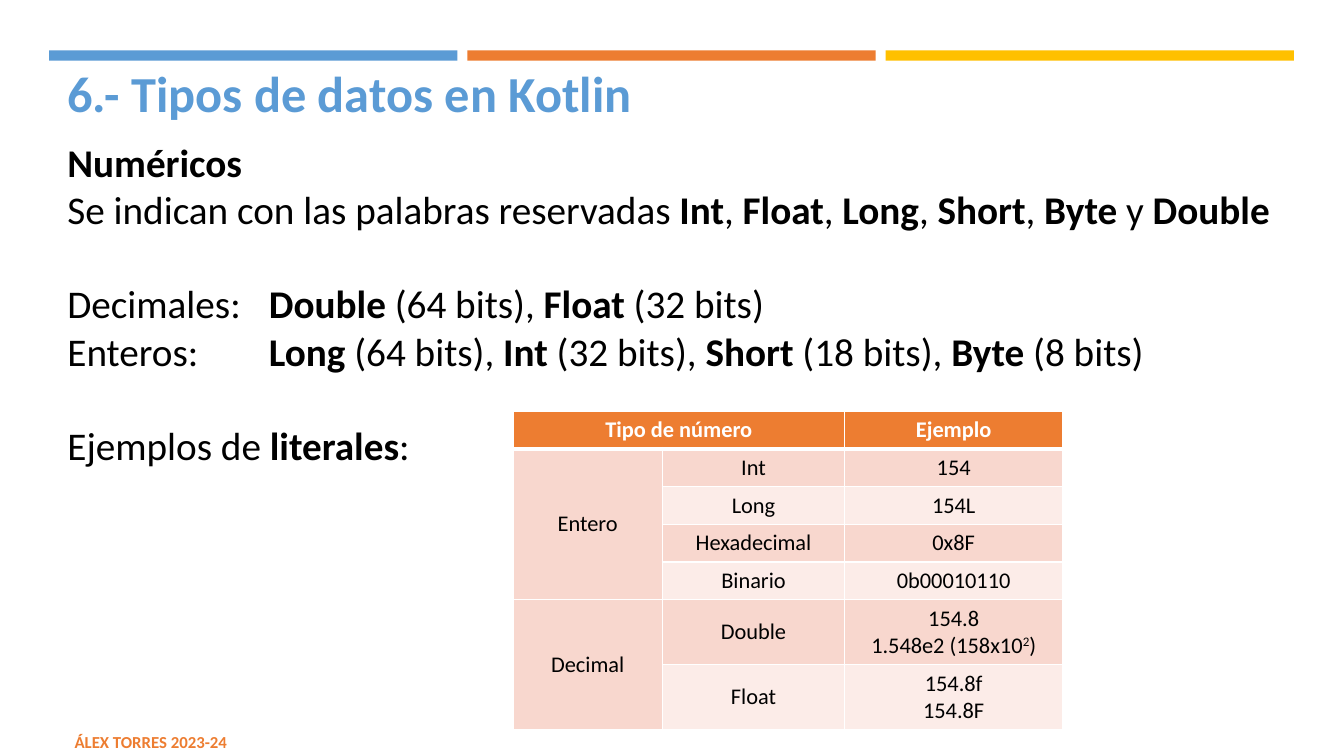
from lxml.etree import SubElement
from pptx import Presentation
from pptx.dml.color import RGBColor
from pptx.enum.shapes import MSO_SHAPE
from pptx.enum.text import MSO_ANCHOR, MSO_AUTO_SIZE, PP_ALIGN
from pptx.oxml import parse_xml
from pptx.oxml.ns import nsdecls, qn
from pptx.util import Cm, Pt

HUES = {"blue": "5B9BD5", "orange": "ED7D31", "gold": "FFC000", "black": "000000",
        "white": "FFFFFF", "rose": "F8D7CE", "pale": "FCECE8"}
FONT = "Calibri"

LINES = [
    ("*Numéricos*", 0),
    ("Se indican con las palabras reservadas *Int*, *Float*, *Long*, *Short*, *Byte* y *Double*", 0),
    ("Decimales:\t*Double* (64 bits), *Float* (32 bits)", 34),
    ("Enteros:\t*Long* (64 bits), *Int* (32 bits), *Short* (18 bits), *Byte* (8 bits)", 0),
    ("Ejemplos de *literales*:", 34),
]
ROWS = [
    ("Tipo de número", "", "Ejemplo"),
    ("Entero", "Int", "154"),
    ("", "Long", "154L"),
    ("", "Hexadecimal", "0x8F"),
    ("", "Binario", "0b00010110"),
    ("Decimal", "Double", "154.8\n1.548e2 (158x10^2^)"),
    ("", "Float", "154.8f\n154.8F"),
]
SPANS = [(0, 0, 0, 1), (1, 0, 4, 0), (5, 0, 6, 0)]


class Page:
    def __init__(self, deck):
        self.slide = deck.slides.add_slide(deck.slide_layouts[5])
        self.shapes = self.slide.shapes

    def hue(self, name):
        return RGBColor.from_string(HUES[name])

    def style(self, par, size, hue, bold=None):
        font = par.font
        font.name, font.size, font.bold = FONT, Pt(size), bold
        font.color.rgb = self.hue(hue)

    def frame(self, shape, anchor):
        frame = shape.text_frame
        frame.word_wrap = True
        frame.auto_size = MSO_AUTO_SIZE.NONE
        frame.vertical_anchor = anchor
        frame.margin_left = frame.margin_right = Cm(0.25)
        frame.margin_top = frame.margin_bottom = Cm(0.25)
        return frame

    def bar(self, x, y, w, h, hue):
        bar = self.shapes.add_shape(MSO_SHAPE.RECTANGLE, Cm(x), Cm(y), Cm(w), Cm(h))
        bar.shadow.inherit = False
        bar.fill.solid()
        bar.fill.fore_color.rgb = self.hue(hue)
        bar.line.fill.background()

    def title(self, text, x, y, w, h):
        title = self.shapes.title
        title.left, title.top, title.width, title.height = Cm(x), Cm(y), Cm(w), Cm(h)
        par = self.frame(title, MSO_ANCHOR.TOP).paragraphs[0]
        par.text = text
        par.alignment = PP_ALIGN.LEFT
        self.style(par, 36, "blue", True)

    def box(self, x, y, w, h, anchor):
        return self.frame(self.shapes.add_textbox(Cm(x), Cm(y), Cm(w), Cm(h)), anchor)

    def note(self, text, x, y, w, h):
        par = self.box(x, y, w, h, MSO_ANCHOR.MIDDLE).paragraphs[0]
        par.text = text
        self.style(par, 12, "orange", True)

    def body(self, lines, x, y, w, h, stop):
        frame = self.box(x, y, w, h, MSO_ANCHOR.TOP)
        for i, (text, gap) in enumerate(lines):
            par = frame.paragraphs[0] if i == 0 else frame.add_paragraph()
            par.space_before = Pt(gap)
            if "\t" in text:
                tabs = SubElement(par._p.get_or_add_pPr(), qn("a:tabLst"))
                SubElement(tabs, qn("a:tab"), pos=str(Cm(stop)), algn="l")
            self.style(par, 28, "black")
            for j, part in enumerate(text.split("*")):
                if part:
                    run = par.add_run()
                    run.text = part
                    run.font.bold = j % 2 == 1

    def edges(self, cell, row):
        props = cell._tc.get_or_add_tcPr()
        for i, side in enumerate("LRTB"):
            thick = (row, side) in ((0, "B"), (1, "T"))
            props.insert(i, parse_xml(
                f'<a:ln{side} {nsdecls("a")} w="{Pt(3 if thick else 1)}"><a:solidFill>'
                f'<a:srgbClr val="{HUES["white"]}"/></a:solidFill></a:ln{side}>'))

    def cell(self, cell, text, row, fill):
        cell.fill.solid()
        cell.fill.fore_color.rgb = self.hue(fill)
        cell.vertical_anchor = MSO_ANCHOR.MIDDLE
        self.edges(cell, row)
        for i, line in enumerate(text.split("\n")):
            frame = cell.text_frame
            par = frame.paragraphs[0] if i == 0 else frame.add_paragraph()
            par.alignment = PP_ALIGN.CENTER
            self.style(par, 16, "black" if row else "white", row == 0)
            for j, part in enumerate(line.split("^")):
                if part:
                    run = par.add_run()
                    run.text = part
                    if j % 2:
                        run.font._element.set("baseline", "30000")

    def table(self, rows, spans, x, y, wide, high):
        table = self.shapes.add_table(len(rows), len(wide), Cm(x), Cm(y),
                                      Cm(sum(wide)), Cm(sum(high))).table
        table.first_row = table.horz_banding = False
        for col, size in zip(table.columns, wide):
            col.width = Cm(size)
        for row, size in zip(table.rows, high):
            row.height = Cm(size)
        for r, texts in enumerate(rows):
            for c, text in enumerate(texts):
                band = "rose" if r % 2 or c == 0 else "pale"
                self.cell(table.cell(r, c), text, r, band if r else "orange")
        for top, left, low, right in spans:
            table.cell(top, left).merge(table.cell(low, right))


def main():
    deck = Presentation()
    deck.slide_width, deck.slide_height = Cm(33.87), Cm(19.05)
    page = Page(deck)
    for i, hue in enumerate(("blue", "orange", "gold")):
        page.bar(1.24 + i * 10.54, 1.27, 10.29, 0.26, hue)
    page.note("ÁLEX TORRES 2023-24", 1.63, 18.18, 19.2, 1.02)
    page.title("6.- Tipos de datos en Kotlin", 1.45, 1.32, 30.99, 1.85)
    page.body(LINES, 1.45, 3.23, 30.99, 14.96, 5.08)
    page.table(ROWS, SPANS, 12.93, 10.36, (3.76, 4.6, 5.49), [0.95] * 5 + [1.64] * 2)
    deck.save("out.pptx")


if __name__ == "__main__":
    main()
